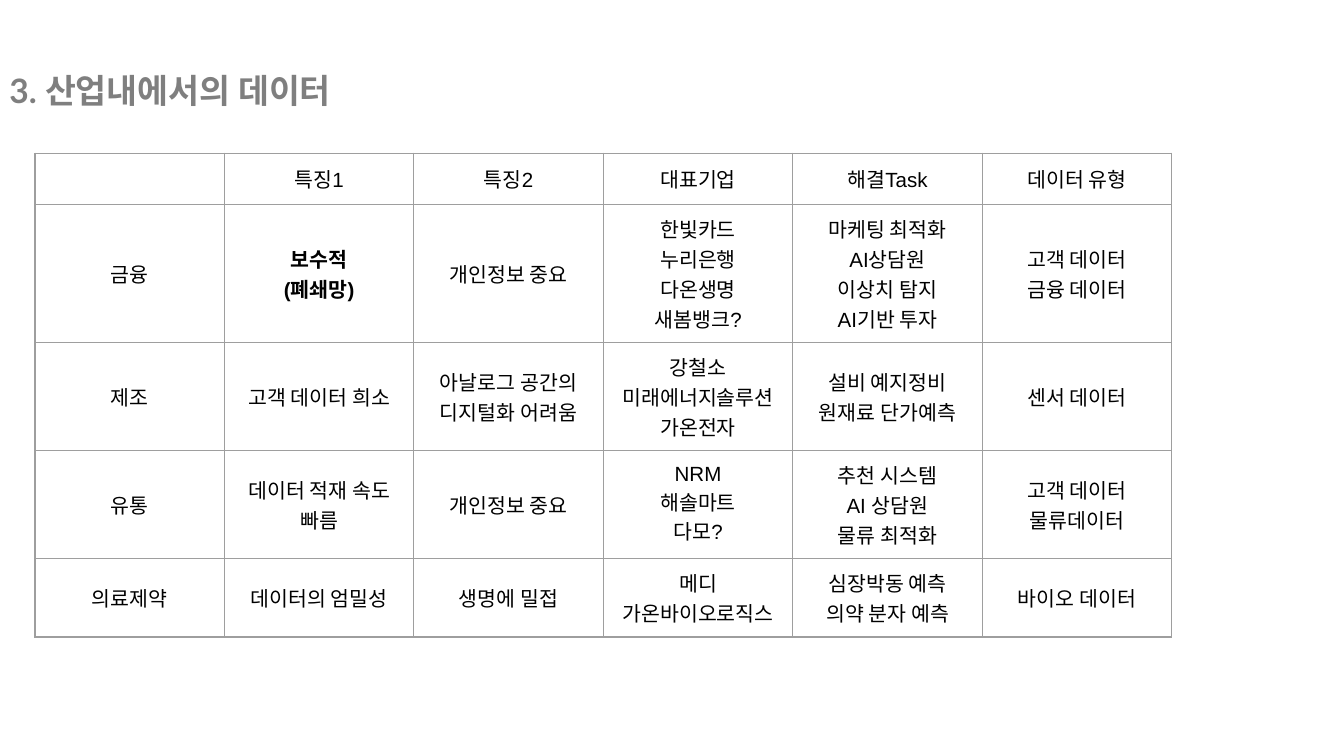
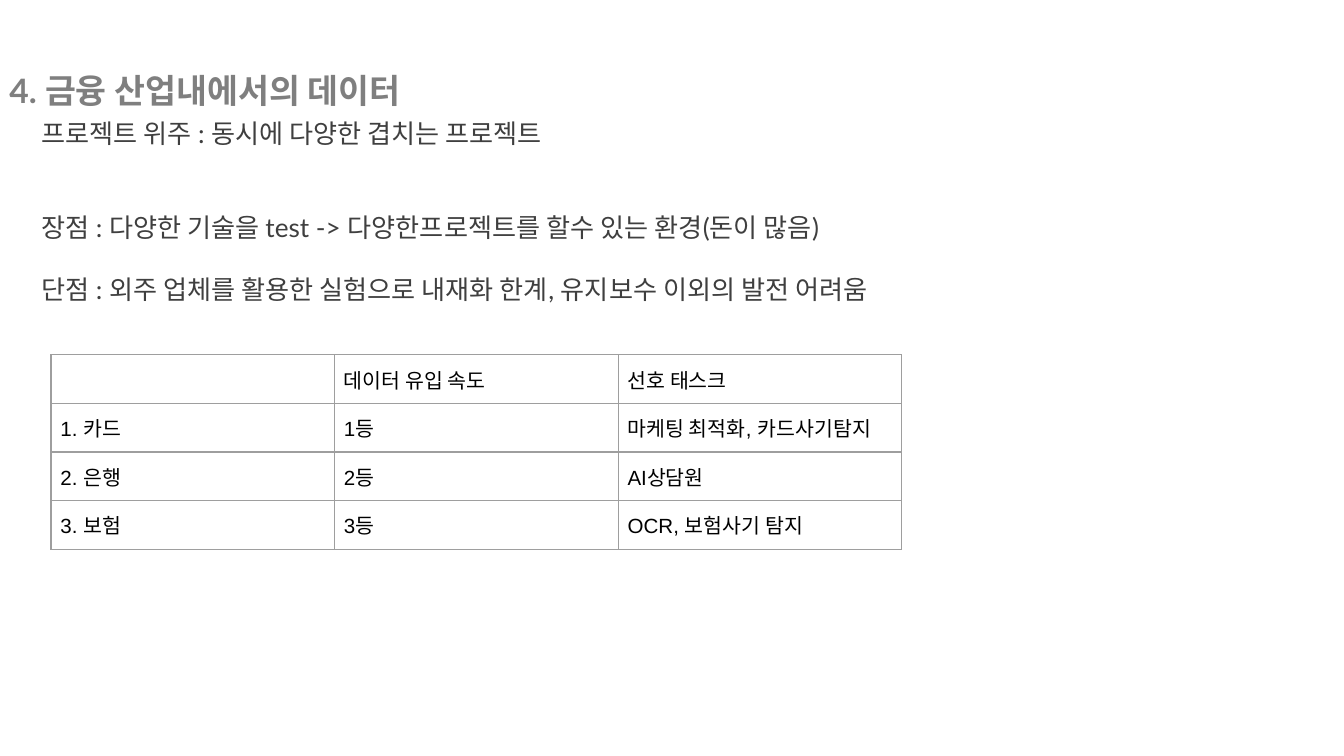
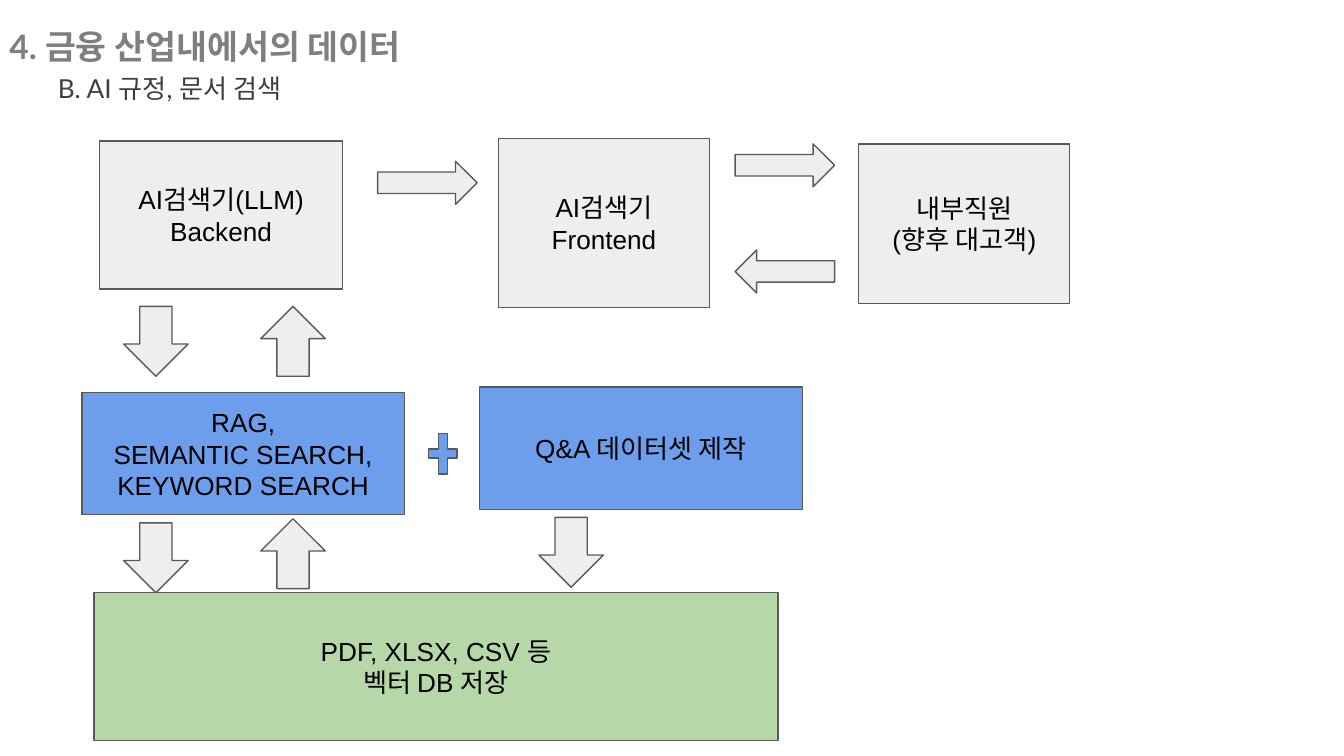
import lxml.etree
import pptx
import pptx.dml.color
import pptx.enum.shapes
import pptx.enum.text
import pptx.oxml.ns
import pptx.util

COLORS = {
    "title": "7F7F7F",
    "body": "3F3F3F",
    "text": "000000",
    "border": "9E9E9E",
    "outline": "595959",
    "gray": "EEEEEE",
    "blue": "6D9EEB",
    "green": "B6D7A8",
}
COLUMNS, ROWS = 100, 56.25
HEADING_FONT, TEXT_FONT = "Lato", "Arial"
SHAPE = pptx.enum.shapes.MSO_SHAPE
ALIGN = pptx.enum.text.PP_ALIGN
ANCHOR = pptx.enum.text.MSO_ANCHOR
TITLE_ONLY, TITLE_AND_BODY = 5, 1


def rgb(name):
    return pptx.dml.color.RGBColor.from_string(COLORS[name])


def add_element(parent, tag, **attributes):
    return lxml.etree.SubElement(parent, pptx.oxml.ns.qn(tag), **attributes)


class DeckBuilder:
    """Holds the style and the current slide; lengths are grid columns and rows."""

    def __init__(self):
        self.deck = pptx.Presentation()
        self.deck.slide_width = pptx.util.Inches(10)
        self.deck.slide_height = pptx.util.Inches(5.625)
        self.slide = None

    def across(self, columns):
        return round(self.deck.slide_width * columns / COLUMNS)

    def down(self, rows):
        return round(self.deck.slide_height * rows / ROWS)

    def area(self, left, top, width, height):
        return self.across(left), self.down(top), self.across(width), self.down(height)

    def style(self, para, size, font, color, bold=False):
        para.font.size = pptx.util.Pt(size)
        para.font.name = font
        para.font.bold = bold
        para.font.color.rgb = rgb(color)

    def set_margins(self, holder, side, end):
        holder.margin_left = holder.margin_right = self.across(side)
        holder.margin_top = holder.margin_bottom = self.down(end)

    def place(self, box, area, end_margin):
        """Moves a placeholder and clears its inherited layout."""
        box.left, box.top, box.width, box.height = self.area(*area)
        frame = box.text_frame
        frame.word_wrap = True
        frame.auto_size = pptx.enum.text.MSO_AUTO_SIZE.NONE
        frame.vertical_anchor = ANCHOR.TOP
        self.set_margins(frame, 0.7, end_margin)
        return frame

    def add_page(self, layout, title, top, width):
        self.slide = self.deck.slides.add_slide(self.deck.slide_layouts[layout])
        frame = self.place(self.slide.shapes.title, (0, top, width, 4.7), 0.4)
        frame.text = title
        para = frame.paragraphs[0]
        para.alignment = ALIGN.LEFT
        para.line_spacing = 1.5
        self.style(para, 18, HEADING_FONT, "title", bold=True)

    def add_body(self, area, lines):
        """Fills the body with (text, points of space before) pairs."""
        frame = self.place(self.slide.placeholders[1], area, 0.7)
        frame.text = "\n".join(text for text, space in lines)
        for para, (text, space) in zip(frame.paragraphs, lines):
            properties = para._p.get_or_add_pPr()
            properties.set("marL", "0")
            properties.set("indent", "0")
            para.space_before = pptx.util.Pt(space)
            add_element(properties, "a:buNone")
            self.style(para, 14, HEADING_FONT, "body")

    def add_borders(self, cell):
        properties = cell._tc.get_or_add_tcPr()
        for index, side in enumerate(("a:lnL", "a:lnR", "a:lnT", "a:lnB")):
            line = lxml.etree.Element(pptx.oxml.ns.qn(side), w=str(pptx.util.Pt(0.75)))
            fill = add_element(line, "a:solidFill")
            add_element(fill, "a:srgbClr", val=COLORS["border"])
            properties.insert(index, line)

    def add_table(self, left, top, column_width, heights, records,
                  align=ALIGN.LEFT, anchor=ANCHOR.TOP, bold_cells=()):
        column_count = len(records[0])
        area = self.area(left, top, column_width * column_count, sum(heights))
        table = self.slide.shapes.add_table(len(records), column_count, *area).table
        table.first_row = table.horz_banding = False
        for column in table.columns:
            column.width = self.across(column_width)
        for row, height in zip(table.rows, heights):
            row.height = self.down(height)
        for row_index, record in enumerate(records):
            for column_index, text in enumerate(record):
                cell = table.cell(row_index, column_index)
                cell.fill.background()
                self.add_borders(cell)
                self.set_margins(cell, 0.7, 0.7)
                cell.vertical_anchor = anchor
                cell.text = text
                for para in cell.text_frame.paragraphs:
                    para.alignment = align
                    bold = (row_index, column_index) in bold_cells
                    self.style(para, 11, TEXT_FONT, "text", bold)
                    if not text:
                        add_element(para._p, "a:endParaRPr", sz="1100")

    def add_shape(self, kind, area, color, text=""):
        shape = self.slide.shapes.add_shape(kind, *self.area(*area))
        shape.shadow.inherit = False
        shape.fill.solid()
        shape.fill.fore_color.rgb = rgb(color)
        shape.line.color.rgb = rgb("outline")
        shape.line.width = pptx.util.Pt(0.75)
        if text:
            frame = shape.text_frame
            frame.word_wrap = True
            frame.vertical_anchor = ANCHOR.MIDDLE
            self.set_margins(frame, 1, 1)
            frame.text = text
            for para in frame.paragraphs:
                para.alignment = ALIGN.CENTER
                self.style(para, 14, TEXT_FONT, "text")


def build_industry_page(builder):
    builder.add_page(TITLE_ONLY, "3. 산업내에서의 데이터", 3.3, 29.1)
    records = [
        ("", "특징1", "특징2", "대표기업", "해결Task", "데이터 유형"),
        ("금융", "보수적\n(폐쇄망)", "개인정보 중요",
         "한빛카드\n누리은행\n다온생명\n새봄뱅크?",
         "마케팅 최적화\nAI상담원\n이상치 탐지\nAI기반 투자",
         "고객 데이터\n금융 데이터"),
        ("제조", "고객 데이터 희소", "아날로그 공간의\n디지털화 어려움",
         "강철소\n미래에너지솔루션\n가온전자",
         "설비 예지정비\n원재료 단가예측", "센서 데이터"),
        ("유통", "데이터 적재 속도\n빠름", "개인정보 중요",
         "NRM\n해솔마트\n다모?",
         "추천 시스템\nAI 상담원\n물류 최적화", "고객 데이터\n물류데이터"),
        ("의료제약", "데이터의 엄밀성", "생명에 밀접",
         "메디\n가온바이오로직스",
         "심장박동 예측\n의약 분자 예측", "바이오 데이터"),
    ]
    builder.add_table(2.6, 11.4, 14.1, (3.8, 9.9, 7.9, 7.9, 5.8), records,
                      ALIGN.CENTER, ANCHOR.MIDDLE, bold_cells={(1, 1)})


def build_finance_page(builder):
    builder.add_page(TITLE_AND_BODY, "4. 금융 산업내에서의 데이터", 3.3, 44.9)
    builder.add_body((2.4, 8, 73, 18.4), [
        ("프로젝트 위주 : 동시에 다양한 겹치는 프로젝트", 0),
        ("장점 : 다양한 기술을 test -> 다양한프로젝트를 할수 있는 환경(돈이 많음)", 33.6),
        ("단점 : 외주 업체를 활용한 실험으로 내재화 한계, 유지보수 이외의 발전 어려움", 16.8),
    ])
    records = [
        ("", "데이터 유입 속도", "선호 태스크"),
        ("1. 카드", "1등", "마케팅 최적화, 카드사기탐지"),
        ("2. 은행", "2등", "AI상담원"),
        ("3. 보험", "3등", "OCR, 보험사기 탐지"),
    ]
    builder.add_table(3.8, 26.4, 21.1, [3.1] * len(records), records)


def build_search_page(builder):
    builder.add_page(TITLE_AND_BODY, "4. 금융 산업내에서의 데이터", 0, 44.9)
    builder.add_body((3.6, 4.7, 21.9, 4.7), [("B. AI 규정, 문서 검색", 0)])
    boxes = [
        ((7, 44.1, 50.9, 11), "green", "PDF, XLSX, CSV 등\n벡터 DB 저장"),
        ((7.4, 10.5, 18.1, 11), "gray", "AI검색기(LLM)\nBackend"),
        ((37.1, 10.3, 15.7, 12.6), "gray", "AI검색기\nFrontend"),
        ((63.9, 10.7, 15.7, 11.9), "gray", "내부직원\n(향후 대고객)"),
        ((6.1, 29.2, 24, 9.1), "blue", "RAG,\nSEMANTIC SEARCH,\nKEYWORD SEARCH"),
        ((35.7, 28.8, 24, 9.1), "blue", "Q&A 데이터셋 제작"),
    ]
    for area, color, text in boxes:
        builder.add_shape(SHAPE.RECTANGLE, area, color, text)
    builder.add_shape(SHAPE.MATH_PLUS, (31.5, 31.7, 2.9, 4.1), "blue")

    level, upright = (7.4, 3.2), (4.8, 5.2)
    arrows = [
        (SHAPE.RIGHT_ARROW, level, [(28.1, 12), (54.7, 10.7)]),
        (SHAPE.LEFT_ARROW, level, [(54.7, 18.6)]),
        (SHAPE.DOWN_ARROW, upright, [(9.2, 22.8), (9.2, 38.9), (40.1, 38.5)]),
        (SHAPE.UP_ARROW, upright, [(19.4, 22.8), (19.4, 38.6)]),
    ]
    for kind, size, corners in arrows:
        for corner in corners:
            builder.add_shape(kind, corner + size, "gray")


def main():
    builder = DeckBuilder()
    build_industry_page(builder)
    build_finance_page(builder)
    build_search_page(builder)
    builder.deck.save("out.pptx")


if __name__ == "__main__":
    main()
